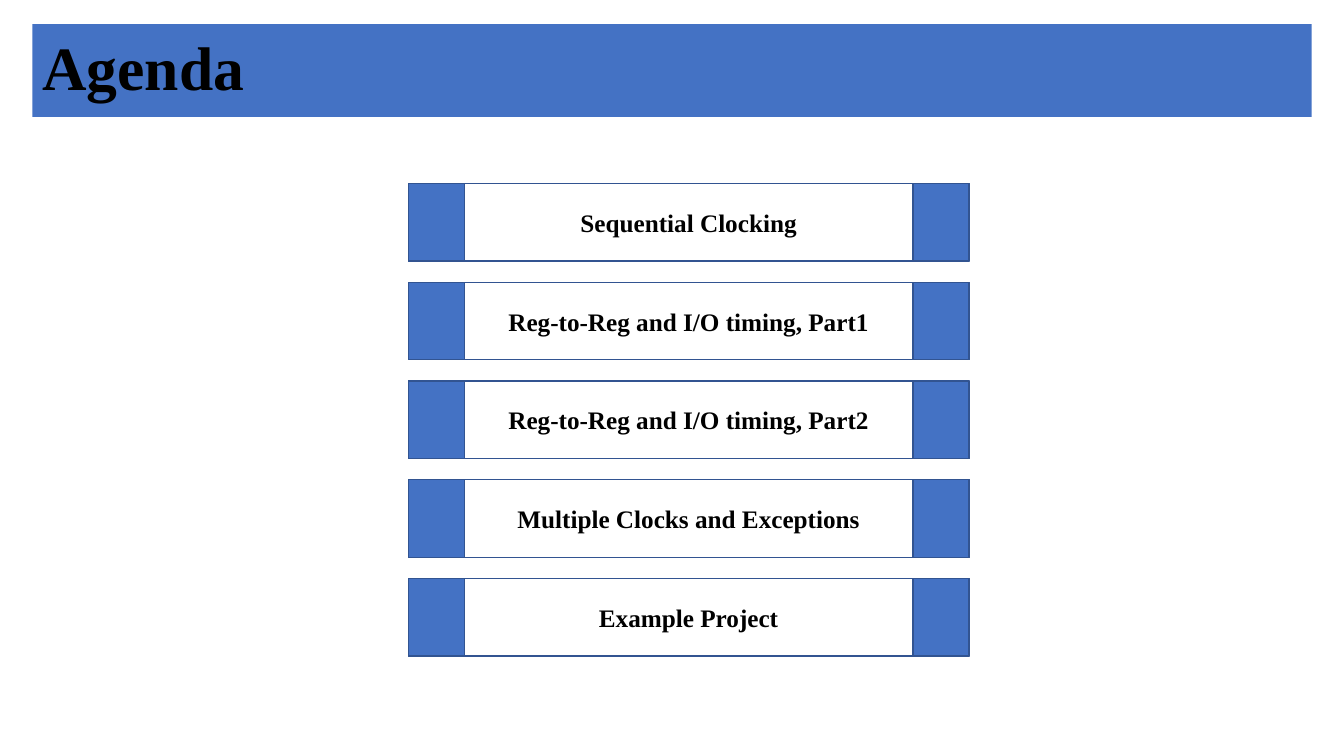
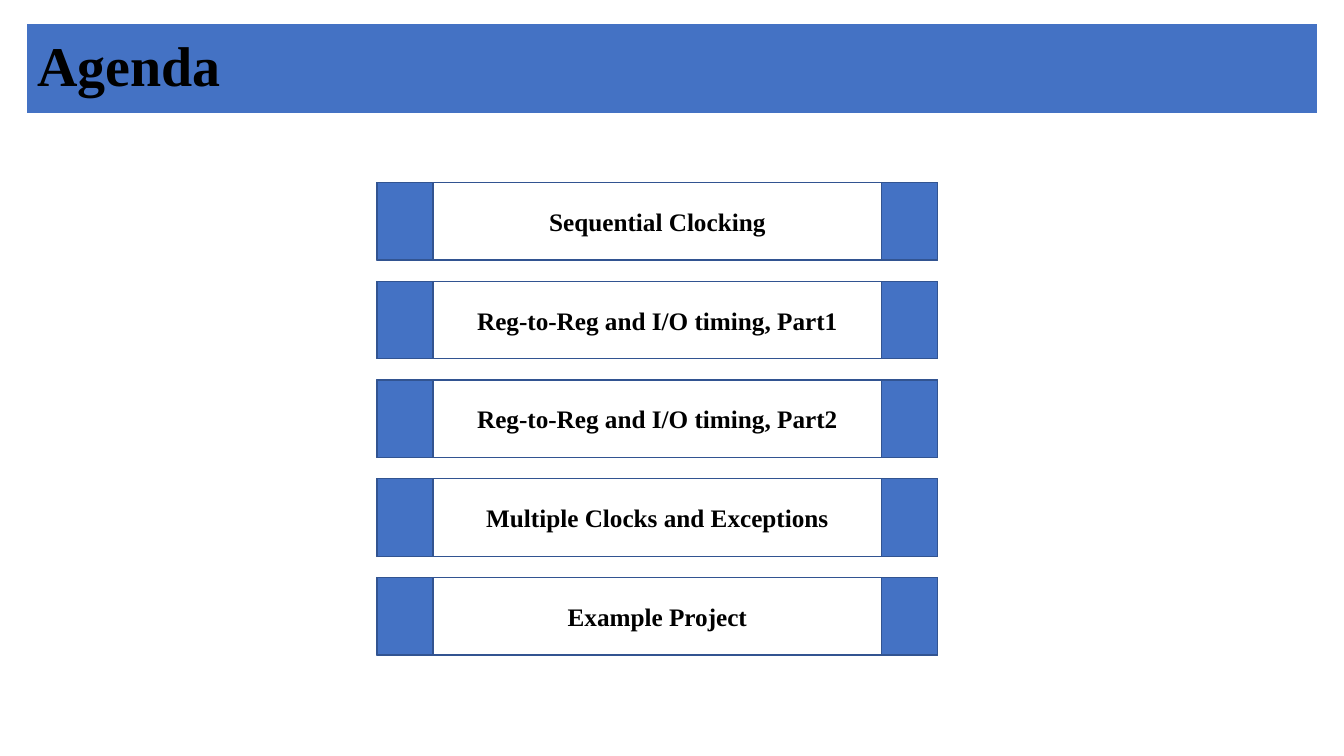
from pptx import Presentation
from pptx.dml.color import RGBColor
from pptx.enum.shapes import MSO_SHAPE
from pptx.enum.text import MSO_ANCHOR, PP_ALIGN
from pptx.util import Inches, Pt

RECTANGLE = MSO_SHAPE.RECTANGLE
MIDDLE = MSO_ANCHOR.MIDDLE
LEFT, CENTER = PP_ALIGN.LEFT, PP_ALIGN.CENTER

# Shared look
SLIDE_WIDTH, SLIDE_HEIGHT = 13.33, 7.5
FONT = "Times New Roman"
BLUE, DARK_BLUE, WHITE, BLACK = "4472C4", "325491", "FFFFFF", "000000"

# Agenda grid: each bar is ten columns wide, with a one-column cap at each end
BAR_COLUMNS = 10
COLUMN = 5.56 / BAR_COLUMNS
BAR_HEIGHT = 0.77
ROW_PITCH = 0.98
BAND_TOP = 0.24

TOPICS = [
    "Sequential Clocking",
    "Reg-to-Reg and I/O timing, Part1",
    "Reg-to-Reg and I/O timing, Part2",
    "Multiple Clocks and Exceptions",
    "Example Project",
]


def color(hex_code):
    return RGBColor.from_string(hex_code)


def add_box(slide, left, top, width, height, fill, outline=None, weight=1):
    box = slide.shapes.add_shape(
        RECTANGLE, Inches(left), Inches(top), Inches(width), Inches(height))
    box.shadow.inherit = False
    box.fill.solid()
    box.fill.fore_color.rgb = color(fill)
    if outline:
        box.line.color.rgb = color(outline)
        box.line.width = Pt(weight)
    else:
        box.line.fill.background()
    return box


def write(box, text, size, align=CENTER, spacing=1.0):
    frame = box.text_frame
    frame.word_wrap = True
    frame.vertical_anchor = MIDDLE
    paragraph = frame.paragraphs[0]
    paragraph.alignment = align
    paragraph.line_spacing = spacing
    run = paragraph.add_run()
    run.text = text
    run.font.name = FONT
    run.font.size = Pt(size)
    run.font.bold = True
    run.font.color.rgb = color(BLACK)


def add_title_band(slide, text, margin, height, size, outline=None):
    band = add_box(slide, margin, BAND_TOP, SLIDE_WIDTH - 2 * margin, height,
                   BLUE, outline, weight=0.75)
    write(band, text, size, align=LEFT, spacing=0.9)


def add_topic(slide, text, left, top):
    bar = add_box(slide, left, top, BAR_COLUMNS * COLUMN, BAR_HEIGHT,
                  WHITE, DARK_BLUE)
    write(bar, text, 18)
    for column in (0, BAR_COLUMNS - 1):
        add_box(slide, left + column * COLUMN, top, COLUMN, BAR_HEIGHT,
                BLUE, DARK_BLUE)


def add_agenda(deck, left, top, **band):
    slide = deck.slides.add_slide(deck.slide_layouts[6])
    add_title_band(slide, "Agenda", **band)
    for row, topic in enumerate(TOPICS):
        add_topic(slide, topic, left, top + row * ROW_PITCH)


def main():
    deck = Presentation()
    deck.slide_width = Inches(SLIDE_WIDTH)
    deck.slide_height = Inches(SLIDE_HEIGHT)
    # Opening agenda, then the version with a wider band
    add_agenda(deck, 4.05, 1.82, margin=0.32, height=0.92, size=44)
    add_agenda(deck, 3.74, 1.81, margin=0.27, height=0.88, size=40,
               outline=BLUE)
    deck.save("out.pptx")


if __name__ == "__main__":
    main()
